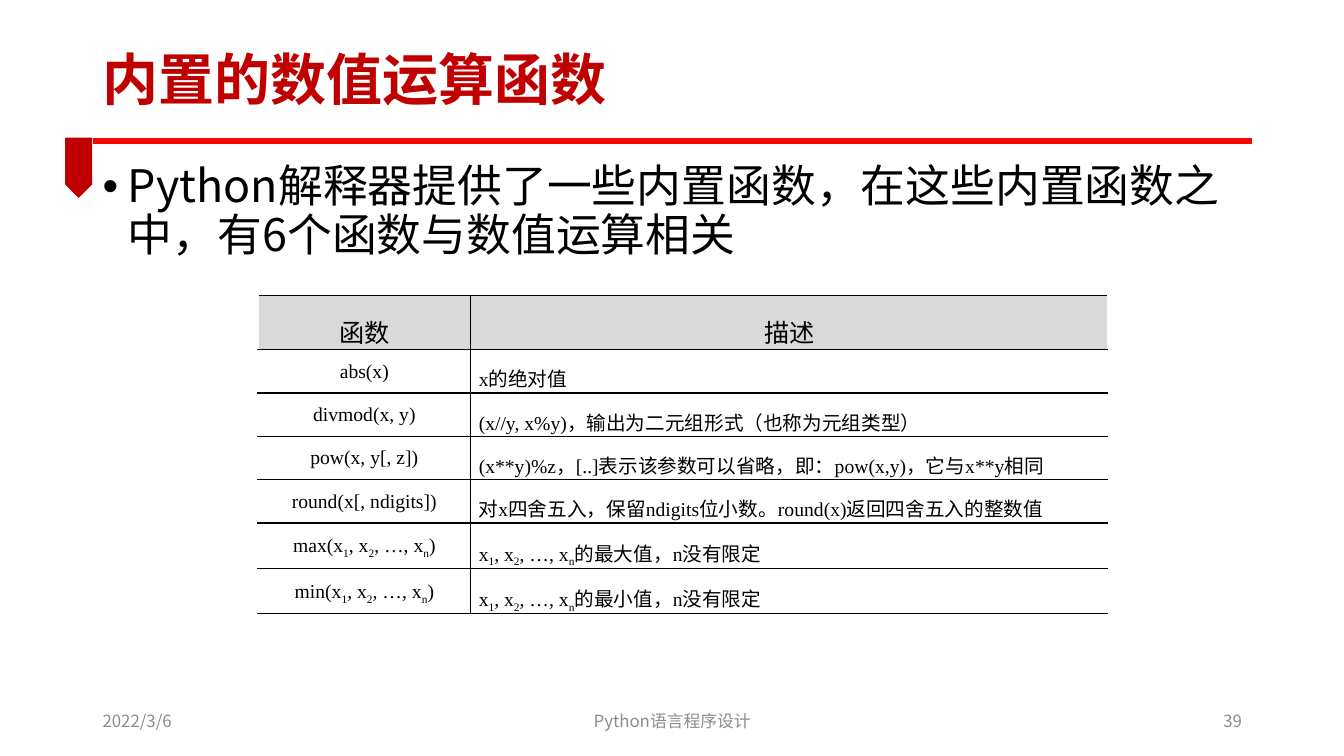
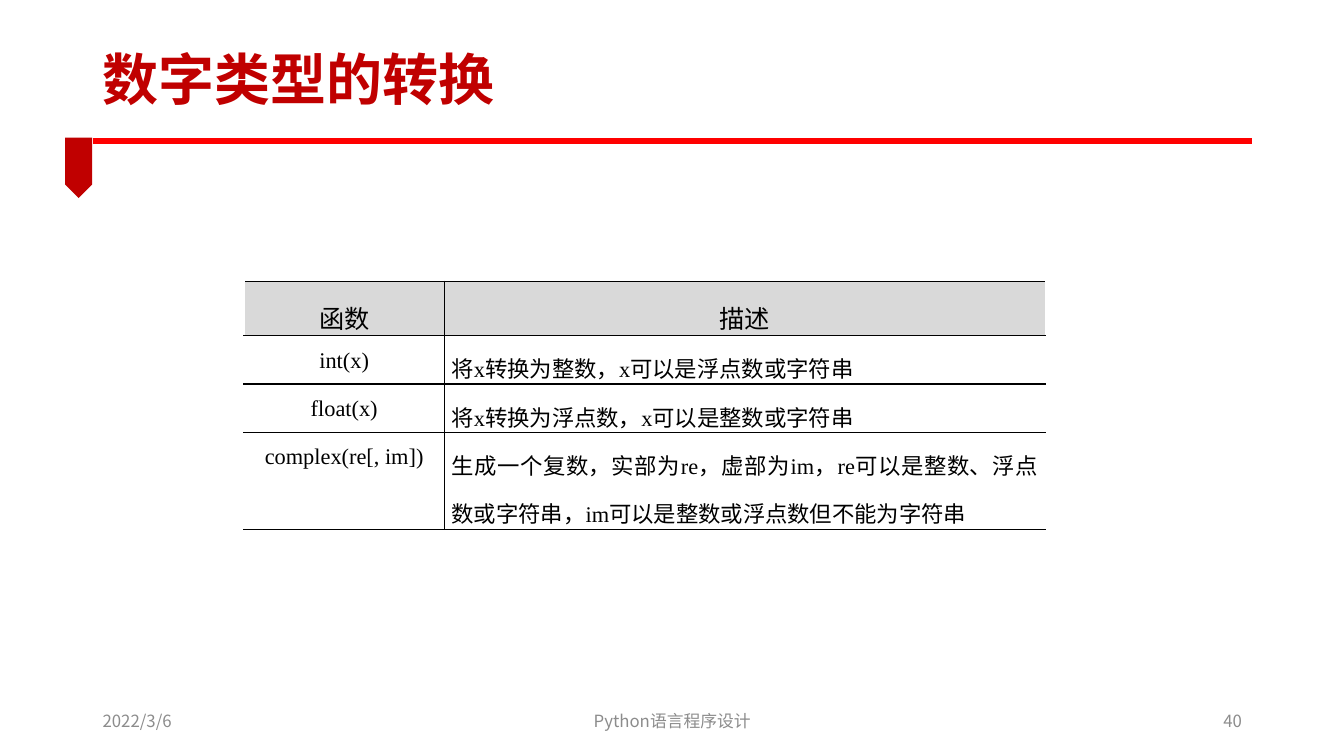
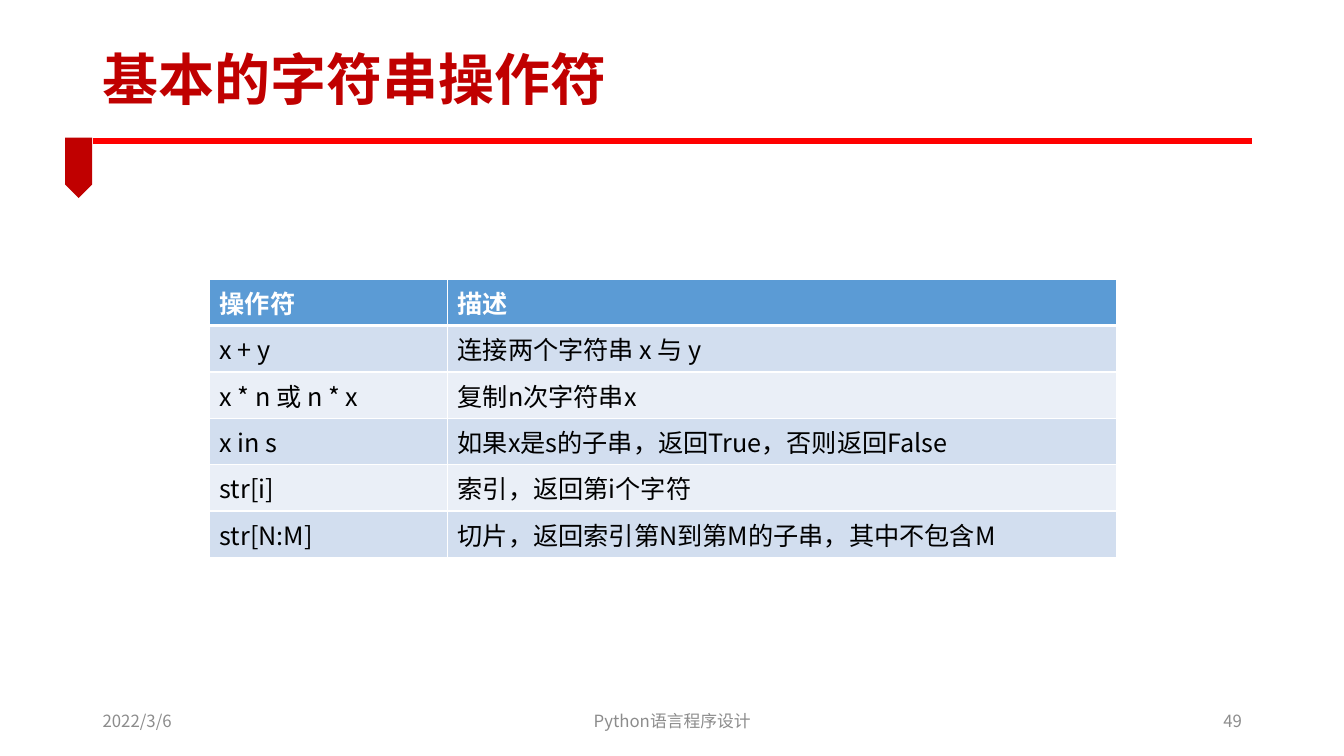
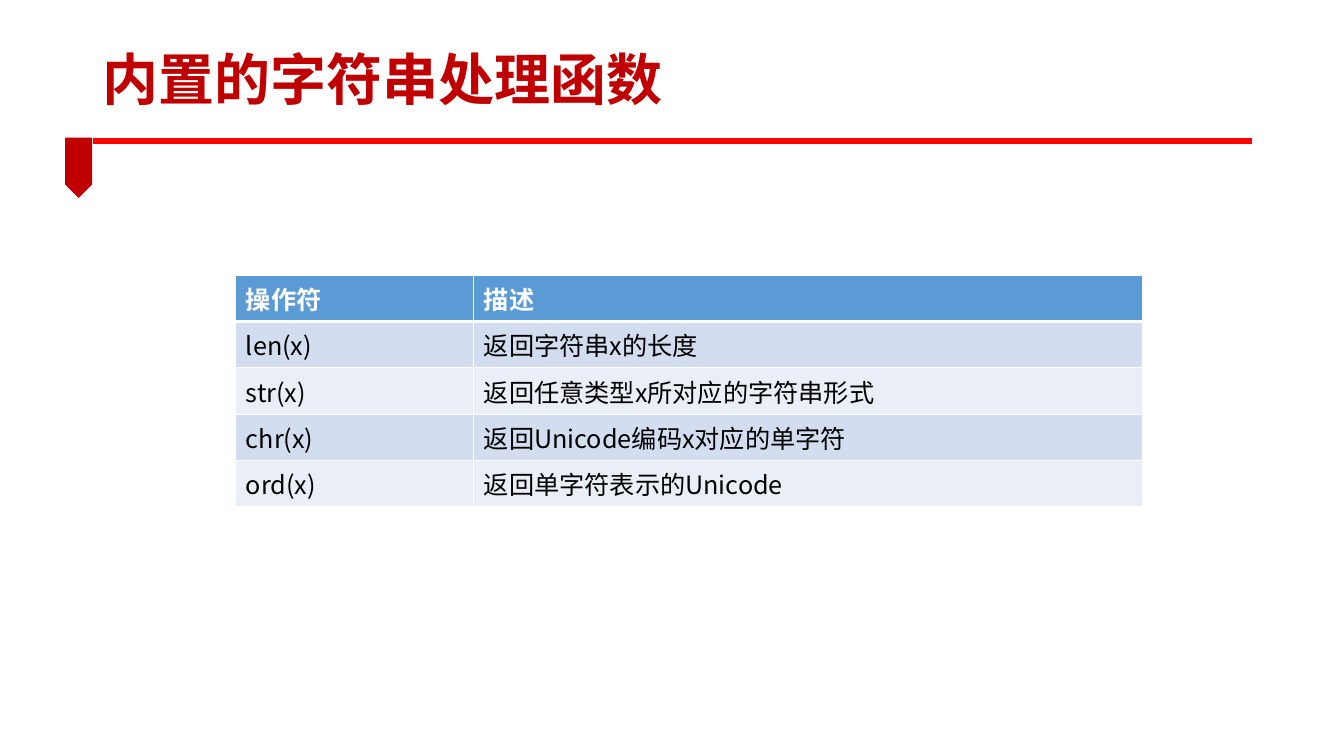
from lxml.etree import SubElement
from pptx import Presentation
from pptx.dml.color import RGBColor
from pptx.enum.shapes import MSO_CONNECTOR, MSO_SHAPE
from pptx.enum.text import MSO_ANCHOR, PP_ALIGN as ALIGN
from pptx.oxml.ns import qn
from pptx.util import Inches, Pt

COLORS = {
    "title": "C00000", "rule": "FF0000", "footer": "8C8C8C",
    "black": "000000", "white": "FFFFFF", "gray": "D9D9D9",
    "blue": "5B9BD5", "band_dark": "D2DEEF", "band_light": "EAEFF7",
}
SANS, SERIF = "Noto Sans CJK SC", "Times New Roman"
FOOTER = "Python语言程序设计"
DATE = "2022/3/6"

# Ruled tables have black lines and serif text; banded ones have blue rows.
RULED = {
    "font": SERIF, "head_fill": "gray", "head_color": "black", "bold": False,
    "bands": ["white", "white"], "line": "black", "head_line": 1,
    "spacing": 1.5, "align": [ALIGN.CENTER, ALIGN.JUSTIFY],
    "edges": [("lnR", "lnT", "lnB"), ("lnL", "lnT", "lnB")],
}
BANDED = {
    "font": SANS, "head_fill": "blue", "head_color": "white", "bold": True,
    "bands": ["band_dark", "band_light"], "line": "white", "head_line": 3,
    "spacing": 1, "align": [ALIGN.LEFT, ALIGN.LEFT],
    "edges": [("lnL", "lnR", "lnT", "lnB")] * 2,
}

SLIDES = [
    {
        "title": "内置的数值运算函数", "number": "39",
        "body": "Python解释器提供了一些内置函数，在这些内置函数之中，有6个函数与数值运算相关",
        "style": RULED, "at": (2.56, 2.93), "columns": (2.11, 6.32),
        "heights": [0.54] + [0.43] * 4 + [0.45] * 2, "size": 14, "inset": (0.08, 0),
        "rows": [
            ("函数", "描述"),
            ("abs(x)", "x的绝对值"),
            ("divmod(x, y)", "(x//y, x%y)，输出为二元组形式（也称为元组类型）"),
            ("pow(x, y[, z])", "(x**y)%z，[..]表示该参数可以省略，即：pow(x,y)，它与x**y相同"),
            ("round(x[, ndigits])", "对x四舍五入，保留ndigits位小数。round(x)返回四舍五入的整数值"),
            ("max(x_1, x_2, …, x_n)", "x_1, x_2, …, x_n的最大值，n没有限定"),
            ("min(x_1, x_2, …, x_n)", "x_1, x_2, …, x_n的最小值，n没有限定"),
        ],
    },
    {
        "title": "数字类型的转换", "number": "40",
        "style": RULED, "at": (2.42, 2.79), "columns": (1.99, 5.96),
        "heights": [0.54, 0.48, 0.48, 0.96], "size": 16, "inset": (0.07, 0),
        "rows": [
            ("函数", "描述"),
            ("int(x)", "将x转换为整数，x可以是浮点数或字符串"),
            ("float(x)", "将x转换为浮点数，x可以是整数或字符串"),
            ("complex(re[, im])", "生成一个复数，实部为re，虚部为im，re可以是整数、浮点数或字符串，"
                                  "im可以是整数或浮点数但不能为字符串"),
        ],
    },
    {
        "title": "基本的字符串操作符", "number": "49",
        "style": BANDED, "at": (2.08, 2.77), "columns": (2.36, 6.64),
        "heights": [0.46] * 6, "size": 18, "inset": (0.1, 0.05),
        "rows": [
            ("操作符", "描述"),
            ("x + y", "连接两个字符串 x 与 y"),
            ("x * n 或 n * x", "复制n次字符串x"),
            ("x in s", "如果x是s的子串，返回True，否则返回False"),
            ("str[i]", "索引，返回第i个字符"),
            ("str[N:M]", "切片，返回索引第N到第M的子串，其中不包含M"),
        ],
    },
    {
        "title": "内置的字符串处理函数",
        "style": BANDED, "at": (2.34, 2.73), "columns": (2.36, 6.64),
        "heights": [0.46] * 5, "size": 18, "inset": (0.1, 0.05),
        "rows": [
            ("操作符", "描述"),
            ("len(x)", "返回字符串x的长度"),
            ("str(x)", "返回任意类型x所对应的字符串形式"),
            ("chr(x)", "返回Unicode编码x对应的单字符"),
            ("ord(x)", "返回单字符表示的Unicode"),
        ],
    },
]


def write(frame, text, size, color, align=ALIGN.LEFT, bold=False, font=SANS, spacing=1):
    """Fill a text frame with one paragraph; "_" lowers the next character."""
    paragraph = frame.paragraphs[0]
    paragraph.alignment = align
    paragraph.line_spacing = spacing
    paragraph.font.size = Pt(size)
    paragraph.font.bold = bold
    paragraph.font.color.rgb = RGBColor.from_string(COLORS[color])
    paragraph.font.name = font
    SubElement(paragraph.font._element, qn("a:ea")).set("typeface", SANS)
    first, *lowered = text.split("_")
    paragraph.add_run().text = first
    for piece in lowered:
        subscript = paragraph.add_run()
        subscript.text = piece[0]
        subscript.font._element.set("baseline", "-25000")
        paragraph.add_run().text = piece[1:]
    return paragraph


def add_text(slide, box, text, size, color, anchor=MSO_ANCHOR.MIDDLE, **options):
    """Add a wrapped text box and return its paragraph."""
    frame = slide.shapes.add_textbox(*map(Inches, box)).text_frame
    frame.word_wrap = True
    frame.vertical_anchor = anchor
    return write(frame, text, size, color, **options)


deck = Presentation()
deck.slide_width, deck.slide_height = Inches(40 / 3), Inches(7.5)

for content in SLIDES:
    slide = deck.slides.add_slide(deck.slide_layouts[6])

    # Title band
    rule = slide.shapes.add_connector(
        MSO_CONNECTOR.STRAIGHT, Inches(0.92), Inches(1.4), Inches(12.42), Inches(1.4))
    rule.line.color.rgb = RGBColor.from_string(COLORS["rule"])
    rule.line.width = Pt(4.5)
    SubElement(rule._element.spPr, qn("a:effectLst"))
    ribbon = slide.shapes.add_shape(
        MSO_SHAPE.PENTAGON, Inches(0.48), Inches(1.53), Inches(0.6), Inches(0.27))
    ribbon.rotation = 90
    ribbon.shadow.inherit = False
    ribbon.fill.solid()
    ribbon.fill.fore_color.rgb = RGBColor.from_string(COLORS["title"])
    ribbon.line.fill.background()
    add_text(slide, (0.92, 0.36, 8.65, 0.92), content["title"], 40, "title",
             bold=True, spacing=0.9)

    if "body" in content:
        bullet = add_text(slide, (0.92, 1.58, 11.5, 5.18), content["body"], 32, "black",
                          anchor=MSO_ANCHOR.TOP, spacing=0.9)
        bullet.space_before = Pt(10)
        properties = bullet._p.pPr
        properties.set("marL", str(Inches(0.25)))
        properties.set("indent", str(Inches(-0.25)))
        for tag, key, value in [("a:buFont", "typeface", "Arial"), ("a:buChar", "char", "•")]:
            mark = SubElement(properties, qn(tag))
            mark.set(key, value)
            bullet.font._element.addprevious(mark)

    if "number" in content:
        for left, width, text, align in [
            (0.92, 3, DATE, ALIGN.LEFT),
            (4.42, 4.5, FOOTER, ALIGN.CENTER),
            (9.42, 3, content["number"], ALIGN.RIGHT),
        ]:
            add_text(slide, (left, 6.95, width, 0.4), text, 12, "footer", align=align)

    # Function table
    style, rows = content["style"], content["rows"]
    size = sum(content["columns"]), sum(content["heights"])
    table = slide.shapes.add_table(
        len(rows), 2, *map(Inches, content["at"] + size)).table
    table.first_row = table.horz_banding = False
    for column, width in zip(table.columns, content["columns"]):
        column.width = Inches(width)
    for row, height in zip(table.rows, content["heights"]):
        row.height = Inches(height)

    for r, entries in enumerate(rows):
        head = r == 0
        fill = style["head_fill"] if head else style["bands"][(r - 1) % 2]
        for c, text in enumerate(entries):
            cell = table.cell(r, c)
            cell.margin_left = cell.margin_right = Inches(content["inset"][0])
            cell.margin_top = cell.margin_bottom = Inches(content["inset"][1])
            for edge in style["edges"][c]:
                under_head = (r, edge) in [(0, "lnB"), (1, "lnT")]
                border = SubElement(cell._tc.get_or_add_tcPr(), qn("a:" + edge))
                border.set("w", str(Pt(style["head_line"] if under_head else 1)))
                ink = SubElement(border, qn("a:solidFill"))
                SubElement(ink, qn("a:srgbClr")).set("val", COLORS[style["line"]])
            cell.fill.solid()
            cell.fill.fore_color.rgb = RGBColor.from_string(COLORS[fill])
            write(cell.text_frame, text, 18 if head else content["size"],
                  style["head_color"] if head else "black",
                  align=style["align"][0] if head else style["align"][c],
                  bold=head and style["bold"], font=style["font"],
                  spacing=style["spacing"])

deck.save("out.pptx")
